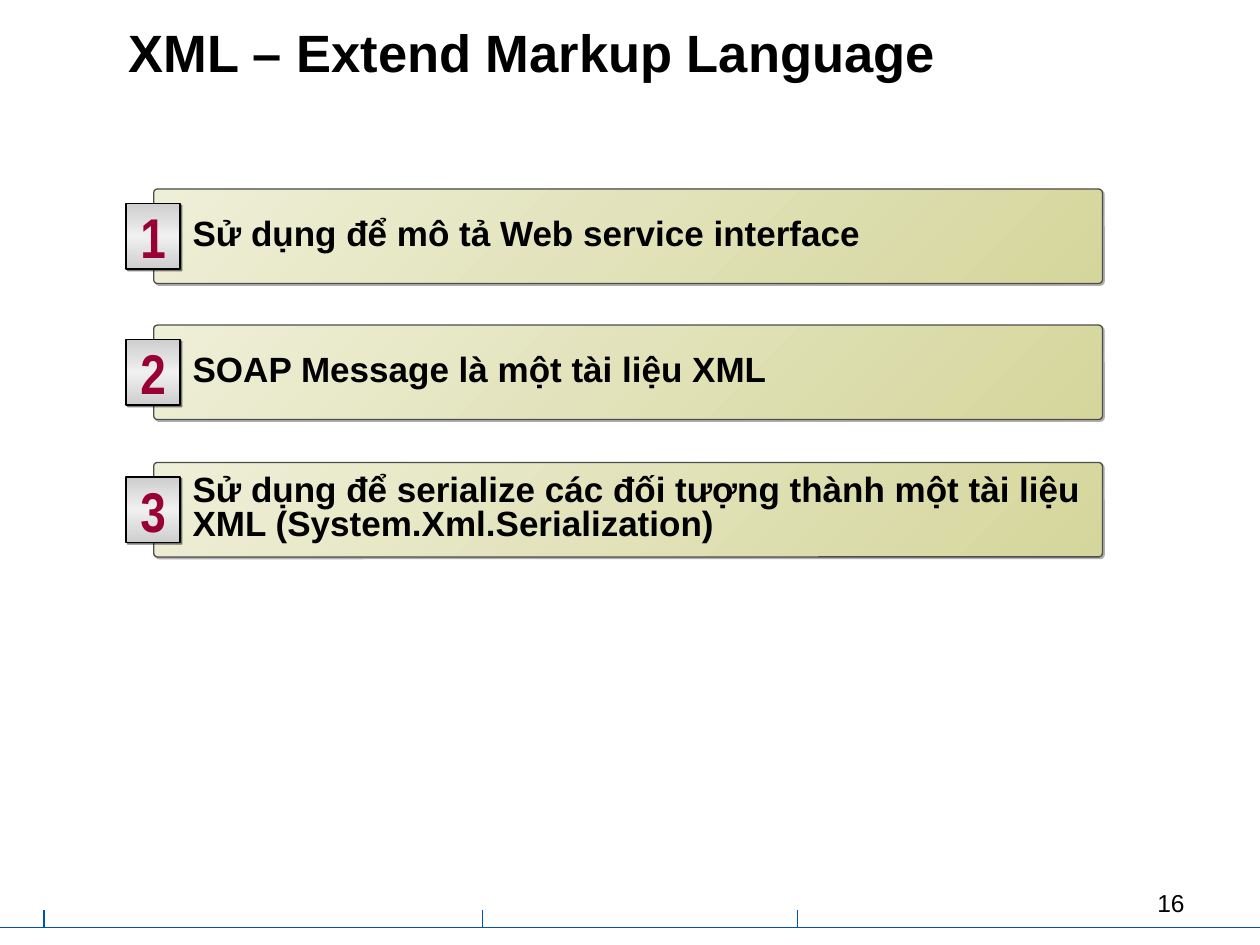
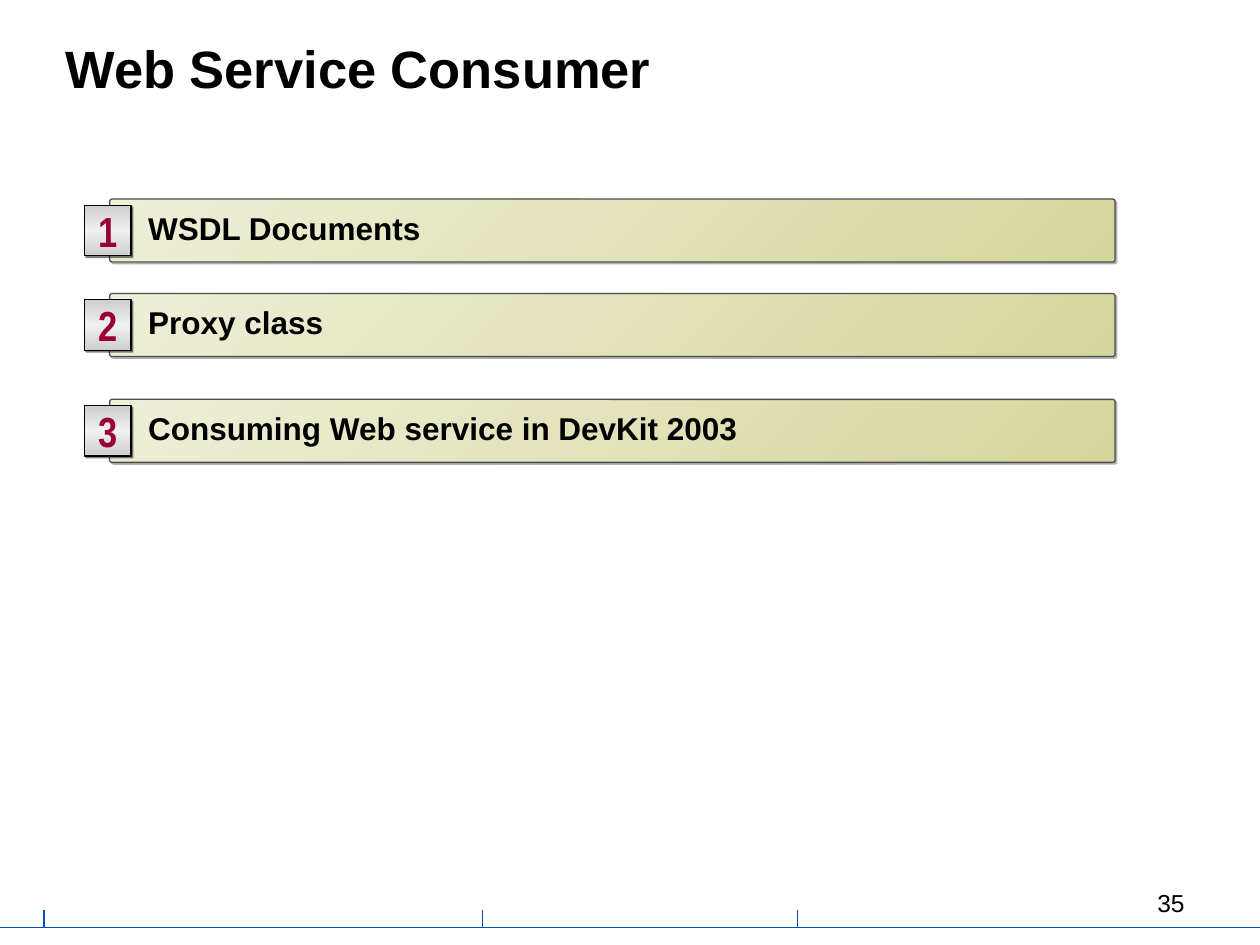
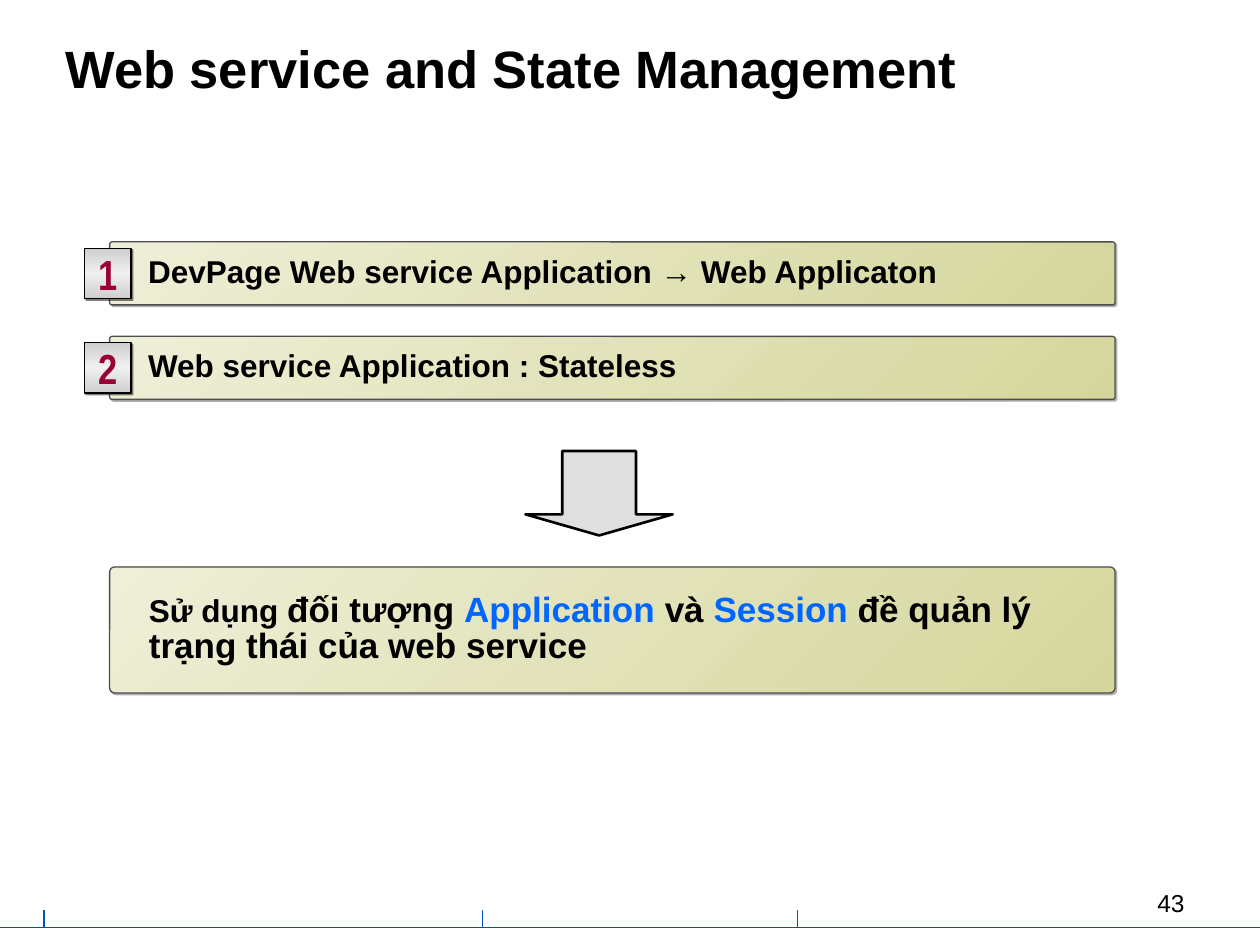
from lxml import etree
from pptx import Presentation
from pptx.dml.color import RGBColor
from pptx.enum.shapes import MSO_CONNECTOR, MSO_SHAPE
from pptx.enum.text import MSO_ANCHOR, MSO_AUTO_SIZE, PP_ALIGN
from pptx.oxml.ns import qn
from pptx.util import Inches, Pt

ROUND = MSO_SHAPE.ROUNDED_RECTANGLE
RECT = MSO_SHAPE.RECTANGLE
ARROW = MSO_SHAPE.DOWN_ARROW
LINE = MSO_CONNECTOR.STRAIGHT
LEFT, MID, RIGHT = PP_ALIGN.LEFT, PP_ALIGN.CENTER, PP_ALIGN.RIGHT
CENTRE = MSO_ANCHOR.MIDDLE
FIXED = MSO_AUTO_SIZE.NONE

FACE, SLIM = "Arial", "Arial Narrow"
BLACK, RULE, EDGE = "000000", "0251B8", "4D4D4D"
RED, BLUE, SILVER = "990033", "0066FF", "C0C0C0"
OLIVE = [(0, "D5D69C"), (100, "EEEFD7")]
STEEL = [(0, "CECECE"), (50, "F0F0F0"), (100, "CECECE")]
TITLE = (0.42, 0.17, 9.08, 0.83)


def color(code):
    return RGBColor.from_string(code)


def inch(*sizes):
    return [Inches(size) for size in sizes]


def style(run, size, code=BLACK, bold=True, face=FACE):
    font = run.font
    font.name, font.size, font.bold = face, Pt(size), bold
    font.color.rgb = color(code)


def sub(node, tag, **attrs):
    texts = {key: str(val) for key, val in attrs.items()}
    return etree.SubElement(node, qn(tag), texts)


def tint(node, code, alpha):
    sub(sub(node, "a:srgbClr", val=code), "a:alpha", val=alpha * 1000)


def blend(shape, stops, angle):
    props = shape.element.spPr
    grad = sub(props, "a:gradFill", rotWithShape=1)
    marks = sub(grad, "a:gsLst")
    for pos, code in stops:
        sub(sub(marks, "a:gs", pos=pos * 1000), "a:srgbClr", val=code)
    sub(grad, "a:lin", ang=angle * 60000, scaled=1)
    props.find(qn("a:ln")).addprevious(grad)


def shade(shape, code, alpha):
    effects = shape.element.spPr.find(qn("a:effectLst"))
    drop = sub(effects, "a:outerShdw", dist=Pt(1.4), dir=45 * 60000,
               algn="ctr", rotWithShape=0)
    tint(drop, code, alpha)


def block(slide, kind, box, edge, width=0.75):
    shape = slide.shapes.add_shape(kind, *inch(*box))
    shape.shadow.inherit = False
    shape.line.color.rgb = color(edge)
    shape.line.width = Pt(width)
    return shape


def bar(slide, box, parts, space):
    shape = block(slide, ROUND, box, EDGE)
    shape.adjustments[0] = 0.04
    blend(shape, OLIVE, 225)
    shade(shape, "AFAFAF", 100)
    frame = shape.text_frame
    frame.word_wrap, frame.vertical_anchor = True, CENTRE
    frame.margin_left = Inches(0.3)
    para = frame.paragraphs[0]
    para.alignment, para.line_spacing = LEFT, space
    for text, size, code in parts:
        run = para.add_run()
        run.text = text
        style(run, size, code)


def badge(slide, box, label, size):
    shape = block(slide, RECT, box, BLACK)
    blend(shape, STEEL, 90)
    shade(shape, BLACK, 50)
    frame = shape.text_frame
    frame.word_wrap, frame.vertical_anchor = False, CENTRE
    frame.text = label
    para = frame.paragraphs[0]
    para.alignment = MID
    style(para.runs[0], size, RED, face=SLIM)


def items(slide, box, tops, texts, large=False):
    left, wide, high = box
    if large:
        inset, side, tall, size, digit, space = 0.22, 0.43, 0.52, 20, 32, 0.8
    else:
        inset, side, tall, size, digit, space = 0.2, 0.37, 0.4, 18, 24, 0.85
    for num, (top, text) in enumerate(zip(tops, texts), 1):
        bar(slide, (left + inset, top, wide - inset, high),
            [(text, size, BLACK)], space)
        badge(slide, (left, top + (high - tall) / 2, side, tall),
              str(num), digit)


def arrow(slide, box):
    shape = block(slide, ARROW, box, BLACK, 1.5)
    shape.adjustments[0] = 0.5
    shape.adjustments[1] = 0.25
    shape.fill.solid()
    shape.fill.fore_color.rgb = color(SILVER)
    fill = shape.element.spPr.find(qn("a:solidFill"))
    sub(fill[0], "a:alpha", val=50000)


def rules(slide, layout):
    base = 7.36
    ends = [(10, base, 0, base)]
    ends += [(x, base, x, base - 0.14) for x in (0.35, 3.83, 6.33)]
    for end in ends:
        line = slide.shapes.add_connector(LINE, *inch(*end))
        line.line.color.rgb = color(RULE)
        line.line.width = Pt(0.75)
        sub(line.element.spPr, "a:effectLst")
        layout.element.cSld.spTree.append(line.element)


def page(deck, text, number, box=TITLE):
    slide = deck.slides.add_slide(deck.slide_layouts[5])
    title = slide.shapes.title
    title.left, title.top, title.width, title.height = inch(*box)
    frame = title.text_frame
    frame.text = text
    frame.word_wrap, frame.auto_size = True, FIXED
    frame.vertical_anchor = CENTRE
    para = frame.paragraphs[0]
    para.alignment, para.line_spacing = LEFT, 0.8
    style(para.runs[0], 30)
    foot = slide.shapes.add_textbox(*inch(7.17, 7, 2.33, 0.34)).text_frame
    foot.word_wrap = True
    foot.text = str(number)
    foot.paragraphs[0].alignment = RIGHT
    style(foot.paragraphs[0].runs[0], 14, bold=False)
    return slide


def markup(deck):
    slide = page(deck, "XML – Extend Markup Language", 16,
                 (0.92, 0.08, 8.08, 0.75))
    items(slide, (1, 7.75, 0.75), (1.5, 2.58, 3.67), [
        "Sử dụng để mô tả Web service interface",
        "SOAP Message là một tài liệu XML",
        "Sử dụng để serialize các đối tượng thành một tài liệu XML "
        "(System.Xml.Serialization)",
    ], large=True)
    return slide


def client(deck):
    slide = page(deck, "Web Service Consumer", 35)
    items(slide, (0.67, 8.18, 0.5), (1.58, 2.33, 3.17), [
        "WSDL Documents",
        "Proxy class",
        "Consuming Web service in DevKit 2003",
    ])


def state(deck):
    slide = page(deck, "Web service and State Management", 43)
    items(slide, (0.67, 8.18, 0.5), (1.92, 2.67), [
        "DevPage Web service Application → Web Applicaton",
        "Web service Application : Stateless",
    ])
    arrow(slide, (4.17, 3.58, 1.17, 0.67))
    bar(slide, (0.87, 4.5, 7.98, 1), [
        ("Sử dụng ", 18, BLACK),
        ("đối tượng ", 20, BLACK),
        ("Application", 20, BLUE),
        (" và ", 20, BLACK),
        ("Session", 20, BLUE),
        (" đề quản lý trạng thái của web service", 20, BLACK),
    ], 0.85)


def main():
    deck = Presentation()
    deck.slide_width, deck.slide_height = inch(10, 7.5)
    first = markup(deck)
    rules(first, first.slide_layout)
    client(deck)
    state(deck)
    deck.save("out.pptx")


if __name__ == "__main__":
    main()
